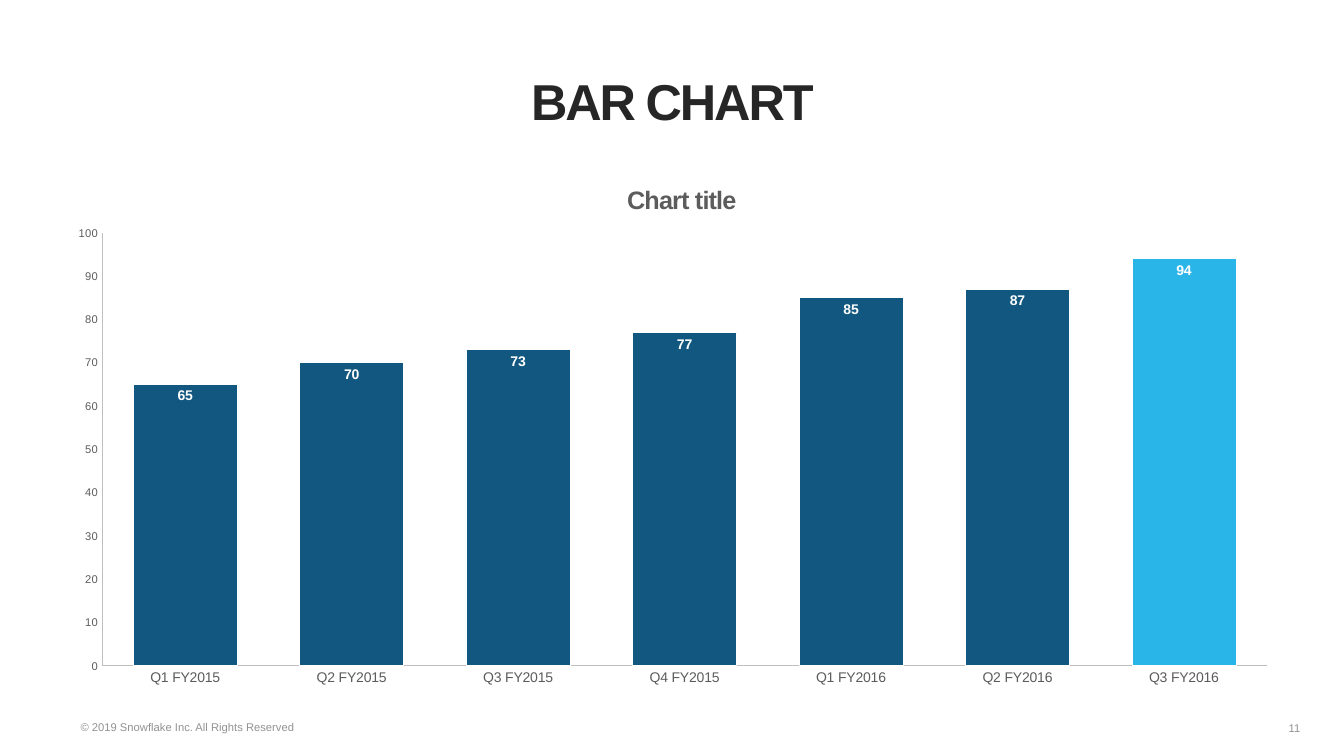
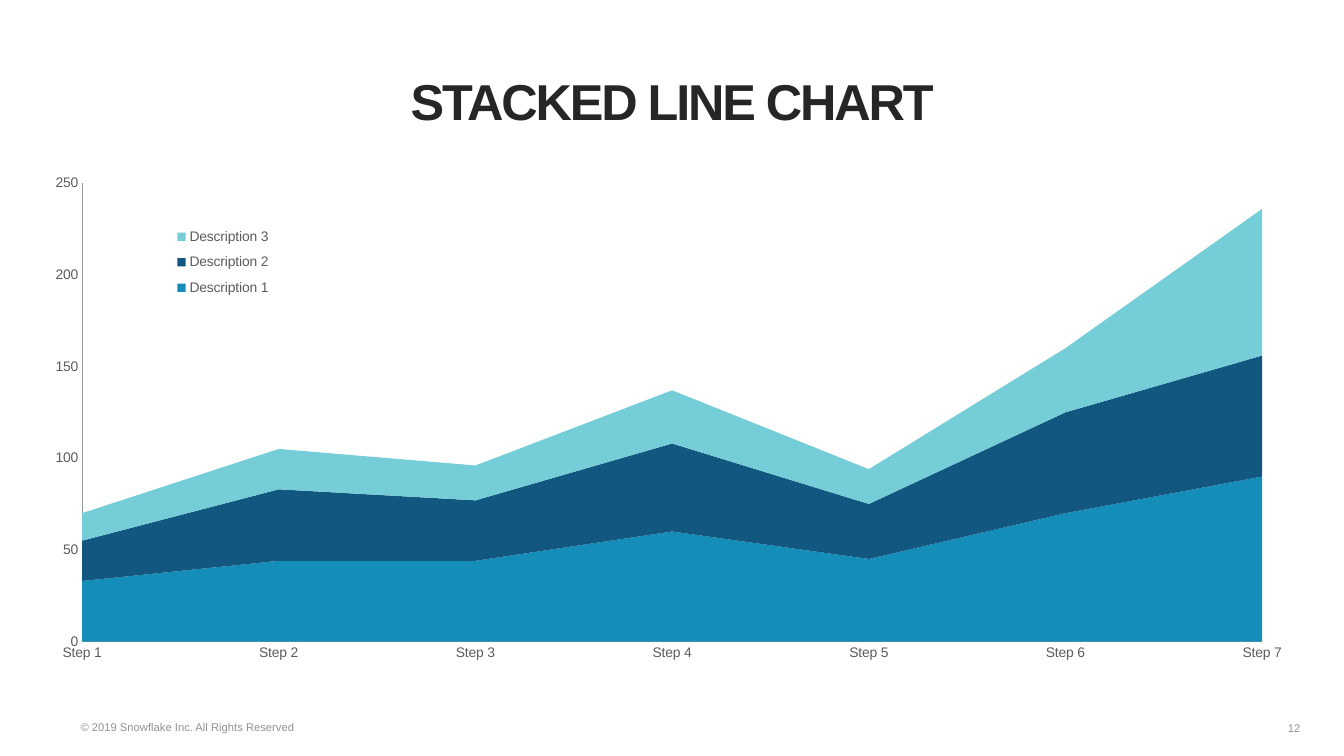
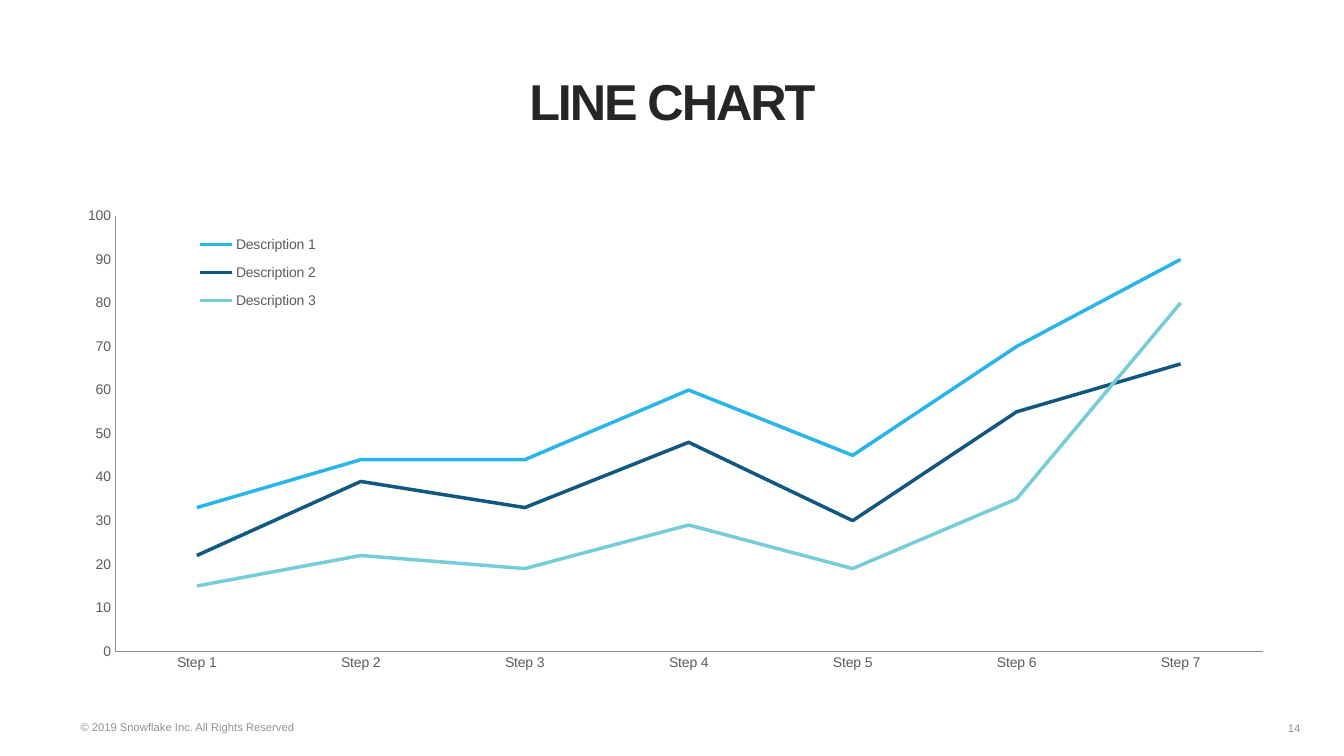
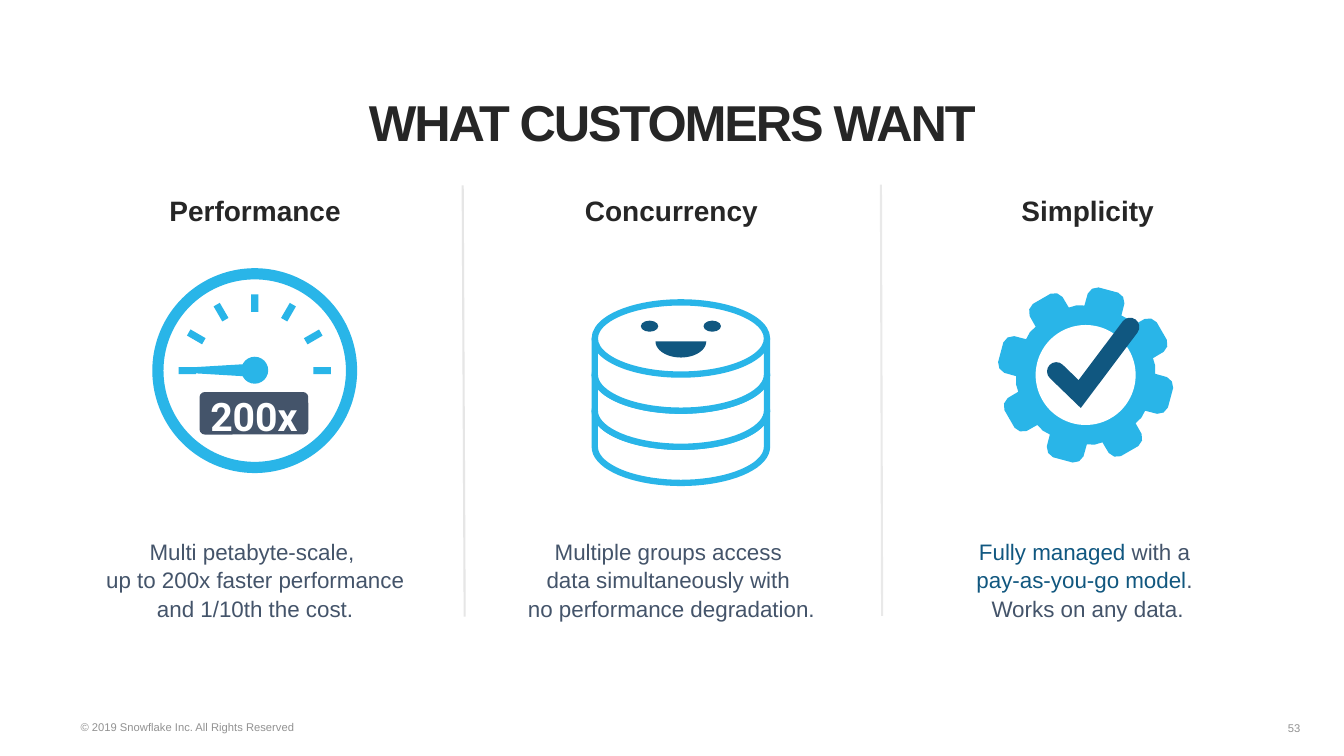
import math

from lxml import etree
from pptx import Presentation
from pptx import util as u
from pptx.chart.data import CategoryChartData
from pptx.dml.color import RGBColor
from pptx.enum import chart as ch, shapes, text
from pptx.oxml.ns import qn

# Shared look
FONT = "Arial"
INK, GREY, SLATE, WHITE = "262626", "5C5C5C", "44546A", "FFFFFF"
FOOTER_GREY = "929292"
SKY, NAVY, OCEAN, AQUA, DEEP = "29B5E8", "11577F", "148DB9", "75CDD7", "105780"
COPYRIGHT = "© 2019 Snowflake Inc. All Rights Reserved"
CENTER, RIGHT = text.PP_ALIGN.CENTER, text.PP_ALIGN.RIGHT
BOTTOM, MIDDLE = text.MSO_ANCHOR.BOTTOM, text.MSO_ANCHOR.MIDDLE

STEPS = [f"Step {n}" for n in range(1, 8)]
DESCRIPTIONS = {
    "Description 1": [33, 44, 44, 60, 45, 70, 90],
    "Description 2": [22, 39, 33, 48, 30, 55, 66],
    "Description 3": [15, 22, 19, 29, 19, 35, 80],
}


def rgb(color):
    return RGBColor.from_string(color)


def cm(*lengths):
    return [u.Cm(length) for length in lengths]


# Text
def style(font, size, color, bold=False, name=FONT):
    font.name, font.size, font.bold = name, u.Pt(size), bold
    font.color.rgb = rgb(color)


def add_run(paragraph, words, size, color, bold=False, name=FONT, tracking=0):
    run = paragraph.add_run()
    run.text = words
    style(run.font, size, color, bold, name)
    if tracking:
        run.font._element.set("spc", str(int(tracking * 100)))


def add_text(slide, box, runs, size, bold=False, align=None, anchor=None,
             spacing=None, tracking=0, wrap=True):
    """Runs are (words, color) pairs; a bare newline breaks the line."""
    frame = slide.shapes.add_textbox(*cm(*box)).text_frame
    frame.word_wrap = wrap
    frame.vertical_anchor = anchor
    paragraph = frame.paragraphs[0]
    paragraph.alignment, paragraph.line_spacing = align, spacing
    for part in runs:
        if part == "\n":
            paragraph.add_line_break()
        else:
            add_run(paragraph, *part[:1], size, part[1], bold, tracking=tracking)


def add_page(deck, title, number, title_height=2.01):
    slide = deck.slides.add_slide(deck.slide_layouts[6])
    add_text(slide, (1.78, 18.03, 5.97, 0.61), [(COPYRIGHT, FOOTER_GREY)], 8, wrap=False)
    add_text(slide, (32.05, 18.03, 0.97, 0.61), [(str(number), FOOTER_GREY)], 8,
             align=RIGHT, anchor=BOTTOM)
    add_text(slide, (1.07, 1.42, 31.75, title_height), [(title, INK)], 36, bold=True,
             align=CENTER, anchor=BOTTOM, spacing=0.9, tracking=-1.5)
    return slide


# Shapes
def paint(shape, fill=None, line=None, width=0):
    shape.shadow.inherit = False
    if fill:
        shape.fill.solid()
        shape.fill.fore_color.rgb = rgb(fill)
    else:
        shape.fill.background()
    if line:
        shape.line.color.rgb = rgb(line)
        shape.line.width = u.Pt(width)
    else:
        shape.line.fill.background()
    return shape


def add_preset(slide, kind, box, **look):
    return paint(slide.shapes.add_shape(kind, *cm(*box)), **look)


def add_ellipse(slide, x, y, rx, ry, **look):
    box = (x - rx, y - ry, 2 * rx, 2 * ry)
    return add_preset(slide, shapes.MSO_SHAPE.OVAL, box, **look)


def add_outline(slide, points, close=True, **look):
    first, *rest = [cm(*point) for point in points]
    builder = slide.shapes.build_freeform(*first)
    builder.add_line_segments(rest, close=close)
    return paint(builder.convert_to_shape(), **look)


def add_divider(slide, start, end, color):
    line = slide.shapes.add_connector(shapes.MSO_CONNECTOR.STRAIGHT, *cm(*start, *end))
    line.line.color.rgb = rgb(color)
    line.line.width = u.Pt(1.5)
    etree.SubElement(line._element.spPr, qn("a:effectLst"))


def polar(x, y, radius, degrees):
    angle = math.radians(degrees)
    return x + radius * math.cos(angle), y + radius * math.sin(angle)


def lower_arc(x, y, rx, ry, steps=36):
    """Lower half of an ellipse, from its left end to its right end."""
    angles = [math.pi * (1 - step / steps) for step in range(steps + 1)]
    return [(x + rx * math.cos(a), y + ry * math.sin(a)) for a in angles]


# Charts
def place(parent, after, **fractions):
    """Give a chart part a manual layout in fractions of the chart."""
    for old in parent.findall(qn("c:layout")):
        parent.remove(old)
    layout = etree.Element(qn("c:layout"))
    manual = etree.SubElement(layout, qn("c:manualLayout"))
    modes = {"xMode": "edge", "yMode": "edge"}
    if parent.tag == qn("c:plotArea"):
        modes = {"layoutTarget": "inner", **modes}
    for tag, value in {**modes, **fractions}.items():
        etree.SubElement(manual, qn(f"c:{tag}")).set("val", str(value))
    if after is None:
        parent.insert(0, layout)
    else:
        parent.find(qn(after)).addnext(layout)


def add_chart(slide, kind, box, categories, series, plot, top, step, axis_line,
              value_size=10):
    data = CategoryChartData()
    data.categories = categories
    for name, values in series.items():
        data.add_series(name, values)
    chart = slide.shapes.add_chart(kind, *cm(*box), data).chart
    style(chart.font, 10, GREY)
    chart.has_title = chart.has_legend = False
    chart.plots[0].vary_by_categories = False
    for axis, size in ((chart.category_axis, 10), (chart.value_axis, value_size)):
        axis.has_major_gridlines = False
        axis.major_tick_mark = axis.minor_tick_mark = ch.XL_TICK_MARK.NONE
        axis.format.line.color.rgb = rgb(axis_line)
        axis.format.line.width = u.Pt(0.5)
        style(axis.tick_labels.font, size, GREY)
    values = chart.value_axis
    values.minimum_scale, values.maximum_scale, values.major_unit = 0, top, step
    place(chart._chartSpace.xpath(".//c:plotArea")[0], None, **plot)
    return chart


def add_legend(chart, **fractions):
    chart.has_legend = True
    legend = chart.legend
    legend.position = ch.XL_LEGEND_POSITION.LEFT
    legend.include_in_layout = True
    style(legend.font, 10, GREY)
    place(legend._element, "c:legendPos", **fractions)


def bar_slide(deck):
    slide = add_page(deck, "BAR CHART", 11)
    quarters = [f"Q{q} FY{year}" for year in (2015, 2016) for q in range(1, 5)][:7]
    chart = add_chart(slide, ch.XL_CHART_TYPE.COLUMN_CLUSTERED,
                      (1.32, 3.96, 31.24, 13.64), quarters,
                      {"Series 1": [65, 70, 73, 77, 85, 87, 94]},
                      dict(x=0.04, y=0.14, w=0.94, h=0.8), 100, 10, "BFBFBF", value_size=8)
    chart.has_title = True
    add_run(chart.chart_title.text_frame.paragraphs[0], "Chart title", 18, GREY, True,
            tracking=-0.6)
    place(chart.chart_title._element, "c:tx", x=0.46, y=0.04)

    plot = chart.plots[0]
    plot.gap_width = 60
    bars = plot.series[0]
    for part, color in ((bars, NAVY), (bars.points[6], SKY)):
        part.format.fill.solid()
        part.format.fill.fore_color.rgb = rgb(color)
        part.format.line.color.rgb = rgb(WHITE)
        part.format.line.width = u.Pt(0.5)
    labels = bars.data_labels
    labels.show_value = True
    labels.position = ch.XL_LABEL_POSITION.INSIDE_END
    style(labels.font, 10, WHITE, True)


def area_slide(deck):
    slide = add_page(deck, "STACKED LINE CHART", 12)
    chart = add_chart(slide, ch.XL_CHART_TYPE.AREA_STACKED, (1.4, 4.42, 30.91, 13.06),
                      STEPS, DESCRIPTIONS, dict(x=0.014, y=0, w=0.971, h=0.898),
                      250, 50, "969696")
    chart._chartSpace.xpath(".//c:crossBetween")[0].set("val", "midCat")
    for layer, color in zip(chart.plots[0].series, (OCEAN, NAVY, AQUA)):
        layer.format.fill.solid()
        layer.format.fill.fore_color.rgb = rgb(color)
    add_legend(chart, x=0.08, y=0.07, w=0.1, h=0.17)


def line_slide(deck):
    slide = add_page(deck, "LINE CHART", 14)
    chart = add_chart(slide, ch.XL_CHART_TYPE.LINE, (2.03, 5.16, 29.82, 12.22),
                      STEPS, DESCRIPTIONS, dict(x=0.029, y=0.023, w=0.97, h=0.898),
                      100, 10, "8E8E8E")
    for trend, color in zip(chart.plots[0].series, (SKY, NAVY, AQUA)):
        trend.smooth = False
        trend.format.line.color.rgb = rgb(color)
        trend.format.line.width = u.Pt(2.5)
    add_legend(chart, x=0.09, y=0.04, w=0.12, h=0.2)


# Icons
def draw_gauge(slide, x, y):
    tag = add_preset(slide, shapes.MSO_SHAPE.ROUNDED_RECTANGLE,
                     (x - 1.39, y + 0.54, 2.74, 1.07), fill=SLATE)
    tag.adjustments[0] = 0.12
    frame = tag.text_frame
    frame.word_wrap = False
    frame.vertical_anchor = MIDDLE
    frame.margin_left = frame.margin_right = frame.margin_bottom = 0
    frame.margin_top = u.Cm(0.12)
    frame.paragraphs[0].alignment = CENTER
    add_run(frame.paragraphs[0], "200x", 28, WHITE, True, "Roboto")

    for degrees in range(180, 361, 30):
        tick_x, tick_y = polar(x, y, 1.7, degrees)
        tick = add_preset(slide, shapes.MSO_SHAPE.RECTANGLE,
                          (tick_x - 0.22, tick_y - 0.09, 0.44, 0.18), fill=SKY)
        tick.rotation = degrees % 180
    needle = [(x - 0.3, y - 0.16), (x - 1.8, y - 0.07), (x - 1.8, y + 0.05), (x - 0.3, y + 0.14)]
    add_outline(slide, needle, fill=SKY)
    add_ellipse(slide, x, y - 0.01, 0.34, 0.34, fill=SKY)
    add_ellipse(slide, x, y, 2.44, 2.44, line=SKY, width=8)


def draw_database(slide, x, y):
    rx, ry = 2.17, 0.91
    look = dict(fill=WHITE, line=SKY, width=4.5)
    for level in (2, 1, 0):
        disk_y = y + level * ry
        wall = [(x - rx, disk_y), *lower_arc(x, disk_y + ry, rx, ry), (x + rx, disk_y)]
        add_outline(slide, wall, close=False, **look)
        add_ellipse(slide, x, disk_y, rx, ry, **look)
    for side in (-1, 1):
        add_ellipse(slide, x + side * 0.79, y - 0.31, 0.22, 0.14, fill=DEEP)
    add_outline(slide, lower_arc(x, y + 0.07, 0.64, 0.41), fill=DEEP)


def draw_gear(slide, x, y):
    half_tooth = [(1.75, 16), (2.05, 13.5), (2.18, 10.7), (2.23, 6.6)]
    tooth = ([(r, -a) for r, a in half_tooth] + [(r, a) for r, a in reversed(half_tooth)]
             + [(1.77, 22.5)])
    rim = [polar(x, y, r, center + a) for center in range(15, 375, 45) for r, a in tooth]
    add_outline(slide, rim, fill=SKY)
    add_ellipse(slide, x, y, 1.26, 1.26, fill=WHITE)
    check = add_outline(slide, [(x - 0.74, y - 0.09), (x - 0.15, y + 0.48), (x + 1.12, y - 1.21)],
                        close=False, line=DEEP, width=13.25)
    stroke = check.line._get_or_add_ln()
    stroke.set("cap", "rnd")
    etree.SubElement(stroke, qn("a:miter")).set("lim", "800000")


def wants_slide(deck):
    slide = add_page(deck, "WHAT CUSTOMERS WANT", 53, title_height=2.54)
    columns = [
        ("Performance", [("Multi petabyte-scale, ", SLATE), "\n",
                         ("up to 200x faster performance", SLATE), "\n",
                         ("and 1/10th the cost.", SLATE)]),
        ("Concurrency", [("Multiple groups access ", SLATE), "\n",
                         ("data simultaneously with ", SLATE), "\n",
                         ("no performance degradation.", SLATE)]),
        ("Simplicity", [("Fully managed ", DEEP), ("with a ", SLATE), "\n",
                        ("pay-as-you-go model", NAVY), (". ", SLATE), "\n",
                        ("Works on any data.", SLATE)]),
    ]
    for index, (heading, body) in enumerate(columns):
        middle = 6.43 + index * 10.49
        add_text(slide, (middle - 4.04, 4.75, 8.08, 1.12), [(heading, INK)], 20, bold=True,
                 align=CENTER)
        add_text(slide, (middle - 4.57, 13.41, 9.14, 2.31), body, 16, align=CENTER,
                 spacing=1.05)
    add_divider(slide, (11.66, 4.67), (11.71, 15.54), "E6E6E6")
    add_divider(slide, (22.2, 4.65), (22.23, 15.52), "E9E9E9")
    draw_gauge(slide, 6.42, 9.34)
    draw_database(slide, 17.16, 8.53)
    draw_gear(slide, 27.36, 9.45)


def main():
    deck = Presentation()
    deck.slide_width, deck.slide_height = cm(33.87, 19.05)
    bar_slide(deck)
    area_slide(deck)
    line_slide(deck)
    wants_slide(deck)
    deck.save("out.pptx")


if __name__ == "__main__":
    main()
